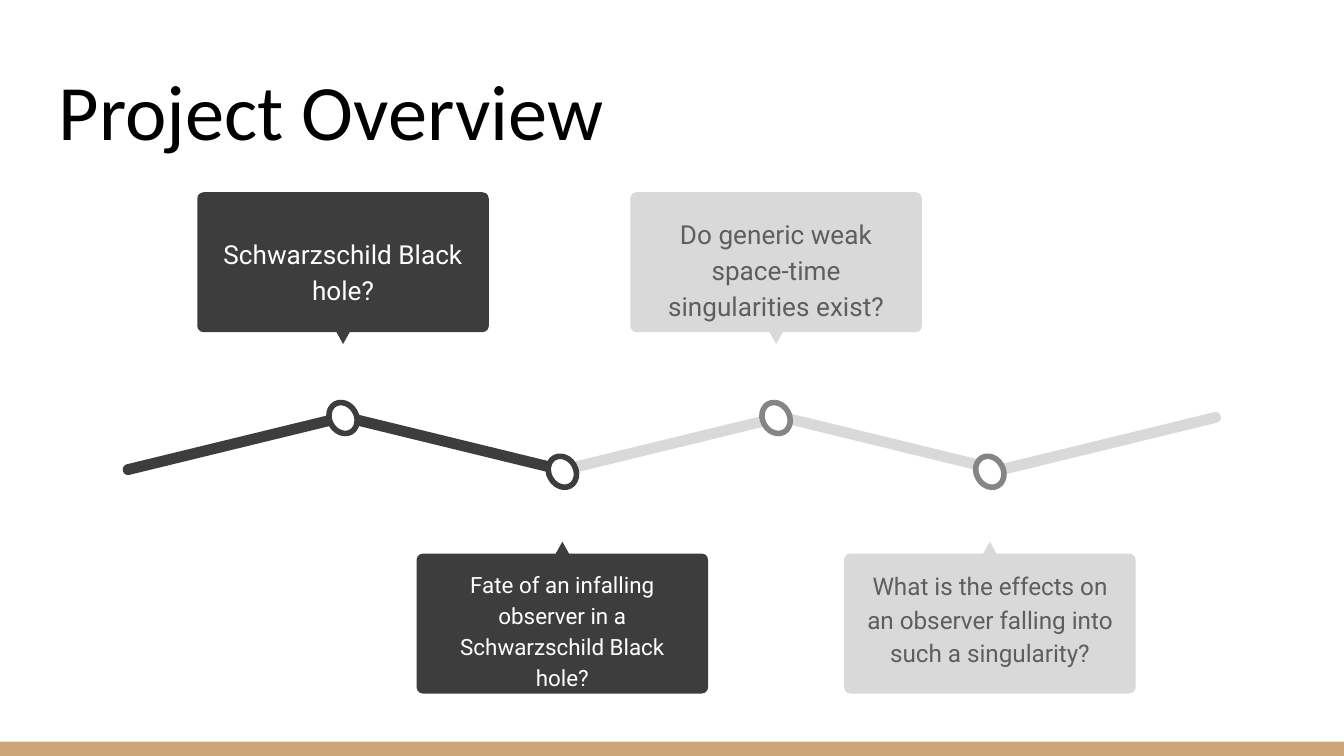
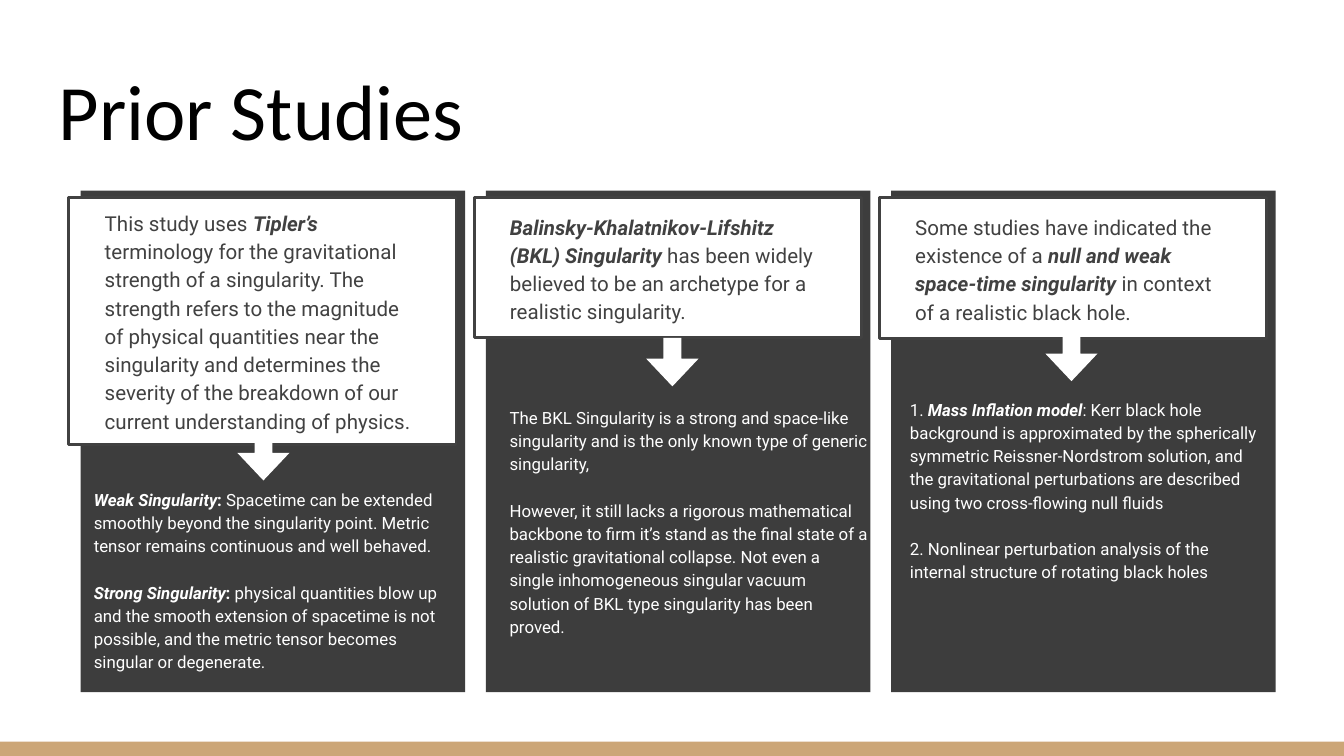
from pptx import Presentation
from pptx.dml.color import RGBColor
from pptx.enum.shapes import MSO_SHAPE
from pptx.enum.text import MSO_ANCHOR, PP_ALIGN
from pptx.util import Pt

WHITE, BLACK, TAN = "FFFFFF", "000000", "CCA677"
DARK, INK = "3D3D3D", "414141"
LIGHT, RING, GREY = "D9D9D9", "858585", "5E5E5E"
BODY_FONT, TITLE_FONT = "Roboto", "Calibri"
WIDTH, HEIGHT = 720, 405
INSET = 7.2


def rgb(value):
    return RGBColor.from_string(value)


def add_shape(s, kind, x, y, w, h, fill, line=None, line_w=1.5, rot=0, adj=()):
    sp = s.shapes.add_shape(kind, Pt(x), Pt(y), Pt(w), Pt(h))
    sp.shadow.inherit = False
    sp.fill.solid()
    sp.fill.fore_color.rgb = rgb(fill)
    if line:
        sp.line.color.rgb = rgb(line)
        sp.line.width = Pt(line_w)
    else:
        sp.line.fill.background()
    sp.rotation = rot
    for i, value in enumerate(adj):
        sp.adjustments[i] = value
    return sp


def add_text(s, x, y, w, h, paragraphs, size, color, font=BODY_FONT,
             align=PP_ALIGN.LEFT, anchor=MSO_ANCHOR.TOP, spacing=1.15, gap=0):
    tf = s.shapes.add_textbox(Pt(x), Pt(y), Pt(w), Pt(h)).text_frame
    tf.word_wrap = True
    tf.vertical_anchor = anchor
    tf.margin_left = tf.margin_right = tf.margin_top = tf.margin_bottom = Pt(INSET)
    for i, runs in enumerate(paragraphs):
        p = tf.add_paragraph() if i else tf.paragraphs[0]
        p.alignment = align
        p.line_spacing = spacing
        if i:
            p.space_before = Pt(gap)
        for text, style in runs:
            r = p.add_run()
            r.text = text
            r.font.name = font
            r.font.size = Pt(size)
            r.font.color.rgb = rgb(color)
            r.font.bold = "b" in style
            r.font.italic = "i" in style


def add_base(prs, title):
    s = prs.slides.add_slide(prs.slide_layouts[6])
    s.background.fill.solid()
    s.background.fill.fore_color.rgb = rgb(WHITE)
    add_shape(s, MSO_SHAPE.RECTANGLE, 0, 397.4, WIDTH, 7.6, TAN)
    add_text(s, 24.5, 25.2, 671, 65.5, [[(title, "")]], 42, BLACK, TITLE_FONT,
             anchor=MSO_ANCHOR.BOTTOM, spacing=1)
    return s


def add_milestone(s, cx, above, fill, ring, color, text, size, text_dy):
    w, h = 156.2, 75
    top, pointer, dot = (103, 177.1, 215.3) if above else (296.6, 290.2, 244.1)
    add_shape(s, MSO_SHAPE.ROUNDED_RECTANGLE, cx - w / 2, top, w, h, fill, adj=[0.045])
    add_shape(s, MSO_SHAPE.ISOSCELES_TRIANGLE, cx - 4, pointer, 8, 7.2, fill,
              rot=180 if above else 0)
    add_shape(s, MSO_SHAPE.OVAL, cx - 7.2, dot, 14.4, 17.3, WHITE, ring, 3, rot=330.2)
    add_text(s, cx - w / 2 + 4, top + text_dy, w - 8, h - 8.7, [[(text, "")]],
             size, color, align=PP_ALIGN.CENTER)


def add_timeline(s, x, y):
    rod_w, rod_h, step = 123.8, 5.8, 117
    for i in reversed(range(5)):
        add_shape(s, MSO_SHAPE.ROUNDED_RECTANGLE, x + i * step, y, rod_w, rod_h,
                  DARK if i < 2 else LIGHT, rot=13.7 if i % 2 else 346.3, adj=[0.5])
    done, ahead = (DARK, DARK, WHITE), (LIGHT, RING, GREY)
    milestones = [
        (183.8, done, "Schwarzschild Black hole?", 14, 15.1),
        (301.3, done, "Fate of an infalling observer in a Schwarzschild Black hole?", 12, 0),
        (415.8, ahead, "Do generic weak space-time singularities exist?", 14, 4.3),
        (530.3, ahead, "What is the effects on an observer falling into such a singularity?", 13, 0),
    ]
    for i, (cx, colors, text, size, text_dy) in enumerate(milestones):
        add_milestone(s, cx, i % 2 == 0, *colors, text, size, text_dy)


def add_study(s, x, y, card_h, lead, lead_dy, arrow, body, body_at):
    add_shape(s, MSO_SHAPE.RECTANGLE, x, y, 206, 268.6, DARK)
    add_shape(s, MSO_SHAPE.RECTANGLE, x - 6.3, y + 3.6, 207.4, card_h, WHITE, INK)
    add_text(s, x + 5.8, y + lead_dy, 183.6, card_h, [lead], 11, INK)
    arrow_x, arrow_y = arrow
    add_shape(s, MSO_SHAPE.RIGHT_ARROW, x + arrow_x - 13, y + arrow_y - 14, 26, 28,
              WHITE, rot=90, adj=[0.342, 0.57])
    dx, dy, w, h = body_at
    add_text(s, x + dx, y + dy, w, h, body, 9, WHITE, gap=12.4)


def build_overview(prs):
    add_timeline(add_base(prs, "Project Overview"), 64, 234.7)


def build_studies(prs):
    s = add_base(prs, "Prior Studies")
    studies = [
        (132.5,
         [("This study uses ", ""), ("Tipler’s", "bi"),
          (" terminology for the gravitational strength of a singularity. The strength "
           "refers to the magnitude of physical quantities near the singularity and "
           "determines the severity of the breakdown of our current understanding of "
           "physics.", "")],
         1.5, (97.9, 142.2),
         [[("Weak Singularity", "bi"), (": ", "b"),
           ("Spacetime can be extended smoothly beyond the singularity point. Metric "
            "tensor remains continuous and well behaved.", "")],
          [("Strong Singularity", "bi"), (":", "b"),
           (" physical quantities blow up and the smooth extension of spacetime is not "
            "possible, and the metric tensor becomes singular or degenerate.", "")]],
         (0, 151.2, 199.4, 103.7)),
        (75,
         [("Balinsky-Khalatnikov-Lifshitz (BKL) Singularity ", "bi"),
          ("has been widely believed to be an archetype for a realistic singularity.", "")],
         3.6, (99.9, 91.8),
         [[("The BKL Singularity is a strong and space-like singularity and is the only "
            "known type of generic singularity,", "")],
          [("However, it still lacks a rigorous mathematical backbone to firm it’s stand "
            "as the final state of a realistic gravitational collapse. Not even a single "
            "inhomogeneous singular vacuum solution of BKL type singularity has been "
            "proved.", "")]],
         (5.6, 107.3, 206, 154.8)),
        (75.6,
         [("Some studies have indicated the existence of a ", ""),
          ("null and weak space-time singularity", "bi"),
          (" in context of a realistic black hole.", "")],
         3.6, (96.6, 89),
         [[("1. ", ""), ("Mass Inflation model", "bi"),
           (": Kerr black hole background is approximated by the spherically symmetric "
            "Reissner-Nordstrom solution, and the gravitational perturbations are "
            "described using two cross-flowing null fluids", "")],
          [("2. Nonlinear perturbation analysis of the internal structure of rotating "
            "black holes", "")]],
         (3, 103, 206, 159.8)),
    ]
    for i, study in enumerate(studies):
        add_study(s, 43.2 + i * 217.1, 102.2, *study)


def main():
    prs = Presentation()
    prs.slide_width, prs.slide_height = Pt(WIDTH), Pt(HEIGHT)
    build_overview(prs)
    build_studies(prs)
    prs.save("out.pptx")


if __name__ == "__main__":
    main()
